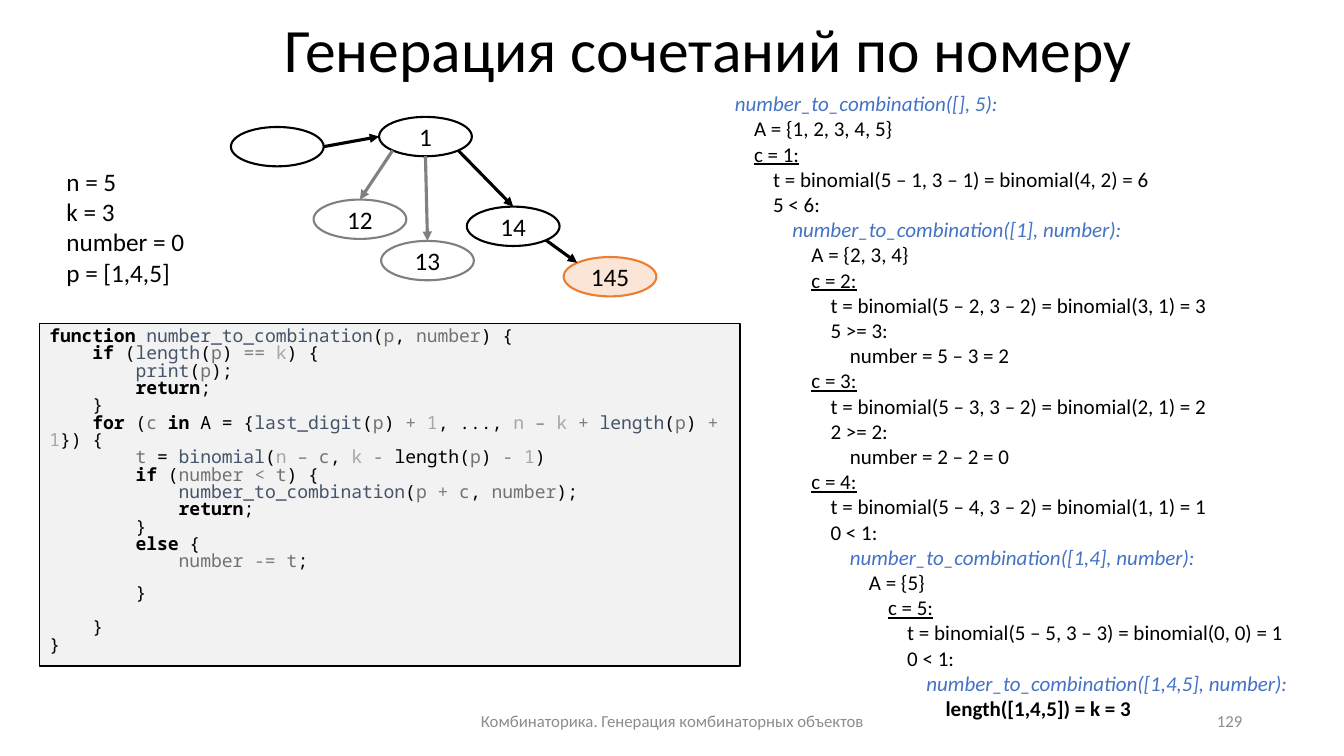
"""Build the slide on generating combinations by their number."""
from itertools import groupby
from math import cos, radians, sin

from lxml import etree
from pptx import Presentation
from pptx.dml.color import RGBColor
from pptx.enum.shapes import MSO_CONNECTOR, MSO_SHAPE
from pptx.enum.text import MSO_ANCHOR, PP_ALIGN
from pptx.oxml.ns import qn
from pptx.util import Inches, Pt

STRAIGHT, OVAL, RECTANGLE = MSO_CONNECTOR.STRAIGHT, MSO_SHAPE.OVAL, MSO_SHAPE.RECTANGLE
TOP, MIDDLE = MSO_ANCHOR.TOP, MSO_ANCHOR.MIDDLE
LEFT, CENTER, RIGHT = PP_ALIGN.LEFT, PP_ALIGN.CENTER, PP_ALIGN.RIGHT

BLACK = RGBColor(0, 0, 0)
WHITE = RGBColor(255, 255, 255)
PANEL = RGBColor(0xF2, 0xF2, 0xF2)
GRAY = RGBColor(0x80, 0x80, 0x80)
LIGHT_GRAY = RGBColor(0xA6, 0xA6, 0xA6)
VARIABLE_GRAY = RGBColor(0x76, 0x71, 0x71)
FOOTER_GRAY = RGBColor(0x8C, 0x8C, 0x8C)
SLATE = RGBColor(0x44, 0x54, 0x6A)
BLUE = RGBColor(0x44, 0x72, 0xC4)
ORANGE = RGBColor(0xED, 0x7D, 0x31)
PEACH = RGBColor(0xFB, 0xE5, 0xD6)

SANS, MONO = "Calibri", "Noto Sans Mono"
CODE_SIZE = Pt(12.9)

TITLE = "Генерация сочетаний по номеру"
FOOTER = "Комбинаторика. Генерация комбинаторных объектов"
PAGE_NUMBER = "129"
STATE = ["n = 5", "k = 3", "number = 0", "p = [1,4,5]"]

CODE = [
    """function number_to_combination(p, number) {
    if (length(p) == k) {
        print(p);
        return;
    }
    for (c in A = {last_digit(p) + 1, ..., n – k + length(p) + 1}) {
        t = binomial(n – c, k - length(p) - 1)
        if (number < t) {
            number_to_combination(p + c, number);
            return;
        }
        else {
            number -= t;""",
    """        }

    }
}""",
]
OPERATOR_SIGNS = "+-–<="
TOKEN_GROUPS = [
    ({"function", "if", "return", "for", "in", "else"}, {"bold": True}),
    ({"number_to_combination", "length", "print", "last_digit", "binomial"}, {"color": SLATE}),
    ({"p", "number", "c", "t"}, {"color": VARIABLE_GRAY}),
    ({"n", "k", "1"}, {"color": LIGHT_GRAY}),
    ({"==", "+", "–", "-", "<", "-="}, {"color": GRAY}),
]
TOKEN_STYLES = {token: style for tokens, style in TOKEN_GROUPS for token in tokens}
PLAIN_TOKENS = {(6, "length")}

PLAIN = {}
CALL = {"color": BLUE, "italic": True}
CHOICE = {"underline": True}
RESULT = {"bold": True}
TRACE = [
    (0, "number_to_combination([], 5):", CALL),
    (1, "A = {1, 2, 3, 4, 5}", PLAIN),
    (1, "c = 1:", CHOICE),
    (2, "t = binomial(5 – 1, 3 – 1) = binomial(4, 2) = 6", PLAIN),
    (2, "5 < 6:", PLAIN),
    (3, "number_to_combination([1], number):", CALL),
    (4, "A = {2, 3, 4}", PLAIN),
    (4, "c = 2:", CHOICE),
    (5, "t = binomial(5 – 2, 3 – 2) = binomial(3, 1) = 3", PLAIN),
    (5, "5 >= 3:", PLAIN),
    (6, "number = 5 – 3 = 2", PLAIN),
    (4, "c = 3:", CHOICE),
    (5, "t = binomial(5 – 3, 3 – 2) = binomial(2, 1) = 2", PLAIN),
    (5, "2 >= 2:", PLAIN),
    (6, "number = 2 – 2 = 0", PLAIN),
    (4, "c = 4:", CHOICE),
    (5, "t = binomial(5 – 4, 3 – 2) = binomial(1, 1) = 1", PLAIN),
    (5, "0 < 1:", PLAIN),
    (6, "number_to_combination([1,4], number):", CALL),
    (7, "A = {5}", PLAIN),
    (8, "c = 5:", CHOICE),
    (9, "t = binomial(5 – 5, 3 – 3) = binomial(0, 0) = 1", PLAIN),
    (9, "0 < 1:", PLAIN),
    (10, "number_to_combination([1,4,5], number):", CALL),
    (11, "length([1,4,5]) = k = 3", RESULT),
]
TRACE_INDENT = 0.19

NODE_WIDTH, NODE_HEIGHT = 0.92, 0.39
NODES = {
    "": (2.29, 1.26, WHITE, BLACK),
    "1": (3.76, 1.16, WHITE, BLACK),
    "12": (3.11, 1.98, WHITE, GRAY),
    "13": (3.78, 2.39, WHITE, GRAY),
    "14": (4.63, 2.05, WHITE, BLACK),
    "145": (5.59, 2.55, PEACH, ORANGE),
}
NODE_TOP = 270
EDGES = [
    ("", 0, "1", 180, BLACK),
    ("1", 135, "12", NODE_TOP, GRAY),
    ("1", 90, "13", NODE_TOP, GRAY),
    ("1", 45, "14", NODE_TOP, BLACK),
    ("14", 45, "145", 225, BLACK),
]


def add_span(para, text, size, name=SANS, color=BLACK, **style):
    span = para.add_run()
    span.text = text
    span.font.color.rgb = color
    for key, value in {"size": size, "name": name, **style}.items():
        setattr(span.font, key, value)


def add_box(page, place, lines, size, align=LEFT, anchor=TOP, color=BLACK, spacing=None):
    frame = page.shapes.add_textbox(*map(Inches, place)).text_frame
    frame.word_wrap = True
    frame.vertical_anchor = anchor
    for index, (level, text, style) in enumerate(lines):
        para = frame.add_paragraph() if index else frame.paragraphs[0]
        para.alignment = align
        para.line_spacing = spacing
        if level:
            para._p.get_or_add_pPr().set("marL", str(Inches(level * TRACE_INDENT)))
        add_span(para, text, size, **{"color": color, **style})


def add_outline(page, kind, place, fill, line, width):
    shape = page.shapes.add_shape(kind, *map(Inches, place))
    shape.shadow.inherit = False
    shape.fill.solid()
    shape.fill.fore_color.rgb = fill
    shape.line.color.rgb = line
    shape.line.width = Pt(width)
    return shape


def token_kind(char):
    return "word" if char.isalnum() or char == "_" else "sign" if char in OPERATOR_SIGNS else "rest"


def add_code(page):
    frame = add_outline(page, RECTANGLE, (0.39, 3.21, 6.95, 3.4), PANEL, BLACK, 1).text_frame
    frame.word_wrap = True
    frame.vertical_anchor = TOP
    for block_index, block in enumerate(CODE):
        para = frame.add_paragraph() if block_index else frame.paragraphs[0]
        para.alignment = LEFT
        para.line_spacing = 0.8
        para.space_before = Pt(10 if block_index else 0)
        for row, line in enumerate(block.split("\n")):
            if row:
                para.add_line_break()
            for _, chars in groupby(line, token_kind):
                token = "".join(chars)
                style = PLAIN if (row, token) in PLAIN_TOKENS else TOKEN_STYLES.get(token, PLAIN)
                add_span(para, token, CODE_SIZE, MONO, **style)
        for line_break in para._p.findall(qn("a:br")):
            etree.SubElement(line_break, qn("a:rPr"), sz=str(round(CODE_SIZE.pt * 100)))


def rim_point(label, angle):
    left, top = NODES[label][:2]
    x = left + NODE_WIDTH / 2 * (1 + cos(radians(angle)))
    y = top + NODE_HEIGHT / 2 * (1 + sin(radians(angle)))
    return Inches(x), Inches(y)


def add_tree(page):
    ovals = {}
    for label, (left, top, fill, line) in NODES.items():
        oval = add_outline(page, OVAL, (left, top, NODE_WIDTH, NODE_HEIGHT), fill, line, 1.5)
        ovals[label] = oval
        if label:
            oval.text_frame.vertical_anchor = MIDDLE
            oval.text_frame.paragraphs[0].alignment = CENTER
            add_span(oval.text_frame.paragraphs[0], label, Pt(18))
    for start, start_angle, end, end_angle, color in EDGES:
        points = rim_point(start, start_angle) + rim_point(end, end_angle)
        arrow = page.shapes.add_connector(STRAIGHT, *points)
        if end_angle == NODE_TOP:
            arrow.end_connect(ovals[end], 0)
        arrow.line.color.rgb = color
        arrow.line.width = Pt(2.25)
        etree.SubElement(arrow.line._get_or_add_ln(), qn("a:tailEnd"), type="triangle")
        etree.SubElement(arrow._element.spPr, qn("a:effectLst"))


def main():
    deck = Presentation()
    deck.slide_width, deck.slide_height = Inches(13.33), Inches(7.5)
    page = deck.slides.add_slide(deck.slide_layouts[6])
    add_box(page, (1.28, -0.2, 11.5, 1.45), [(0, TITLE, PLAIN)], Pt(44), CENTER, MIDDLE, spacing=0.9)
    add_code(page)
    add_box(page, (0.56, 1.6, 1.45, 1.31), [(0, line, PLAIN) for line in STATE], Pt(18))
    add_box(page, (7.19, 0.85, 6.14, 6.41), TRACE, Pt(15))
    add_tree(page)
    add_box(page, (4.42, 6.95, 4.5, 0.4), [(0, FOOTER, PLAIN)], Pt(12), CENTER, MIDDLE, FOOTER_GRAY)
    add_box(page, (9.42, 6.95, 3, 0.4), [(0, PAGE_NUMBER, PLAIN)], Pt(12), RIGHT, MIDDLE, FOOTER_GRAY)
    deck.save("out.pptx")


if __name__ == "__main__":
    main()
